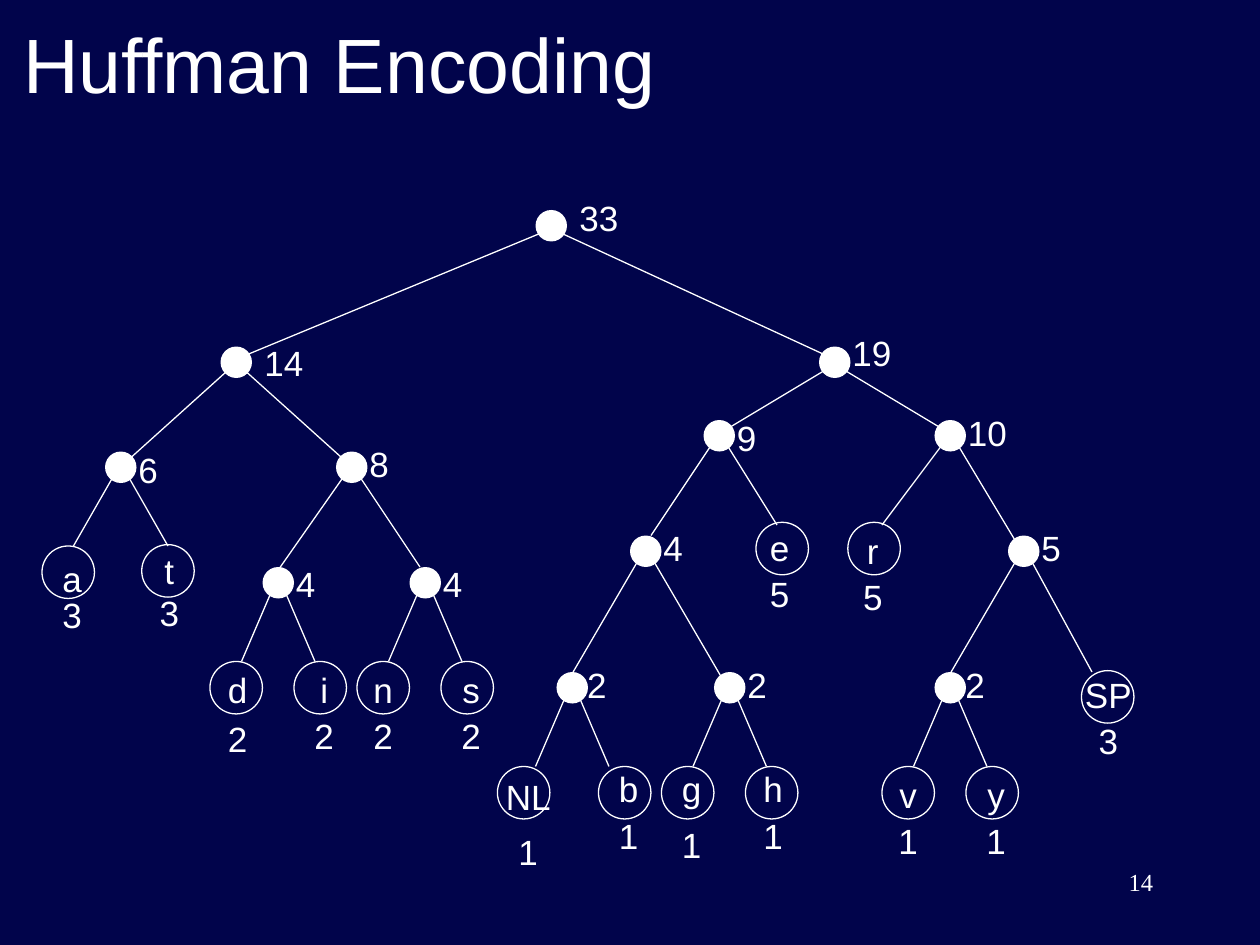
import pptx
import pptx.util
from pptx.dml.color import RGBColor
from pptx.enum.shapes import MSO_CONNECTOR, MSO_SHAPE
from pptx.enum.text import MSO_ANCHOR, MSO_AUTO_SIZE, PP_ALIGN
from pptx.oxml.ns import qn
import lxml.etree

PX = 9525
NODE, LEAF = 24, 40

THEME = {
    "background": RGBColor(0x01, 0x04, 0x4B),
    "ink": RGBColor(0xFF, 0xFF, 0xFF),
    "font": "Arial",
    "number_font": "Times New Roman",
    "title_size": 44,
    "label_size": 20,
    "number_size": 14,
    "line": 0.75,
    "space_before": 5,
}

TITLE = "Huffman Encoding"
PAGE_NUMBER = "14"

# name: weight, node left and top, label left and top, label width
NODES = {
    "root": ("33", 408, 160, 432, 156, 72),
    "left": ("14", 168, 264, 192, 267, 72),
    "right": ("19", 624, 264, 640, 259, 72),
    "at": ("6", 80, 344, 96, 348, 48),
    "dins": ("8", 256, 344, 272, 344, 48),
    "nine": ("9", 536, 320, 552, 324, 48),
    "ten": ("10", 712, 320, 728, 320, 72),
    "di": ("4", 200, 432, 216, 435, 48),
    "ns": ("4", 312, 432, 328, 435, 48),
    "nlbgh": ("4", 480, 408, 496, 408, 48),
    "vysp": ("5", 768, 408, 784, 408, 48),
    "nlb": ("2", 424, 512, 438, 512, 35),
    "gh": ("2", 544, 512, 560, 512, 35),
    "vy": ("2", 712, 512, 726, 512, 50),
}

# symbol, count, circle left and top, text box, line spacings
LEAVES = [
    ("a", "3", 32, 416, (38, 404, 34, 84), (1.5, 0.6)),
    ("t", "3", 108, 415, (112, 420, 34, 68), (0.8, 0.8)),
    ("d", "2", 160, 504, (164, 516, 34, 68), (0.6, 1.0)),
    ("i", "2", 224, 504, (230, 508, 34, 74), (0.9, 0.9)),
    ("n", "2", 272, 504, (275, 508, 34, 74), (0.9, 0.9)),
    ("s", "2", 336, 504, (342, 508, 34, 74), (0.9, 0.9)),
    ("NL", "1", 379, 584, (374, 583, 57, 87), (1.1, 1.1)),
    ("b", "1", 456, 584, (462, 584, 34, 74), (0.9, 0.9)),
    ("g", "1", 504, 584, (510, 584, 34, 81), (0.9, 1.1)),
    ("h", "1", 568, 584, (572, 584, 34, 74), (0.9, 0.9)),
    ("e", "5", 576, 398, (577, 400, 34, 74), (0.9, 0.9)),
    ("r", "5", 646, 398, (648, 402, 34, 74), (0.9, 0.9)),
    ("v", "1", 672, 584, (675, 588, 34, 74), (0.9, 0.9)),
    ("y", "1", 736, 584, (742, 588, 34, 74), (0.9, 0.9)),
    ("SP", "3", 824, 511, (816, 512, 57, 74), (0.9, 0.9)),
]

# parent: end of left branch, end of right branch
BRANCHES = {
    "root": ((184, 272), (632, 272)),
    "left": ((96, 352), (264, 352)),
    "right": ((552, 328), (720, 328)),
    "at": ((56, 416), (128, 416)),
    "dins": ((208, 440), (320, 432)),
    "nine": ((496, 408), (592, 400)),
    "ten": ((672, 400), (776, 416)),
    "di": ((184, 504), (240, 504)),
    "ns": ((296, 504), (352, 504)),
    "nlbgh": ((432, 520), (552, 520)),
    "vysp": ((720, 520), (832, 512)),
    "nlb": ((408, 584), (464, 584)),
    "gh": ((528, 584), (584, 584)),
    "vy": ((696, 584), (752, 584)),
}


def emu(*lengths):
    return [length * PX for length in lengths]


def style(para, size, font=THEME["font"], align=PP_ALIGN.LEFT):
    para.alignment = align
    para.font.size = pptx.util.Pt(size)
    para.font.name = font
    para.font.color.rgb = THEME["ink"]


def add_text(page, area, lines, spacings, align, wrap):
    box = page.shapes.add_textbox(*emu(*area))
    frame = box.text_frame
    frame.text = "\n".join(lines)
    frame.word_wrap = wrap
    frame.auto_size = MSO_AUTO_SIZE.SHAPE_TO_FIT_TEXT
    for para, spacing in zip(frame.paragraphs, spacings):
        style(para, THEME["label_size"], align=align)
        para.line_spacing = spacing
        para.space_before = pptx.util.Pt(THEME["space_before"])


def add_circle(page, left, top, size, filled):
    circle = page.shapes.add_shape(MSO_SHAPE.OVAL, *emu(left, top, size, size))
    circle.shadow.inherit = False
    if filled:
        circle.fill.solid()
        circle.fill.fore_color.rgb = THEME["ink"]
        circle.line.fill.background()
    else:
        circle.fill.background()
        circle.line.color.rgb = THEME["ink"]
        circle.line.width = pptx.util.Pt(THEME["line"])


def add_branch(page, start, end):
    branch = page.shapes.add_connector(MSO_CONNECTOR.STRAIGHT, *emu(*start, *end))
    branch.line.color.rgb = THEME["ink"]
    branch.line.width = pptx.util.Pt(THEME["line"])
    lxml.etree.SubElement(branch._element.spPr, qn("a:effectLst"))


def add_title(page):
    title = page.shapes.title
    title.left, title.top, title.width, title.height = emu(8, 0, 864, 96)
    title.text_frame.text = TITLE
    title.text_frame.vertical_anchor = MSO_ANCHOR.MIDDLE
    style(title.text_frame.paragraphs[0], THEME["title_size"])


def add_page_number(page):
    box = page.shapes.add_textbox(*emu(688, 656, 200, 48))
    box.text_frame.word_wrap = True
    box.text_frame.text = PAGE_NUMBER
    style(box.text_frame.paragraphs[0], THEME["number_size"],
          THEME["number_font"], PP_ALIGN.RIGHT)


def main():
    deck = pptx.Presentation()
    deck.slide_width, deck.slide_height = emu(960, 720)
    page = deck.slides.add_slide(deck.slide_layouts[5])
    page.background.fill.solid()
    page.background.fill.fore_color.rgb = THEME["background"]

    add_title(page)
    for parent, ends in BRANCHES.items():
        left, top = NODES[parent][1:3]
        for offset, end in zip((8, 16), ends):
            add_branch(page, (left + offset, top + 16), end)
    for symbol, count, left, top, area, spacings in LEAVES:
        add_text(page, area, (symbol, count), spacings, PP_ALIGN.CENTER, False)
        add_circle(page, left, top, LEAF, False)
    for weight, left, top, label_left, label_top, width in NODES.values():
        add_circle(page, left, top, NODE, True)
        add_text(page, (label_left, label_top, width, 29), (weight,), (0.6,),
                 PP_ALIGN.LEFT, True)
    add_page_number(page)
    deck.save("out.pptx")


if __name__ == "__main__":
    main()
